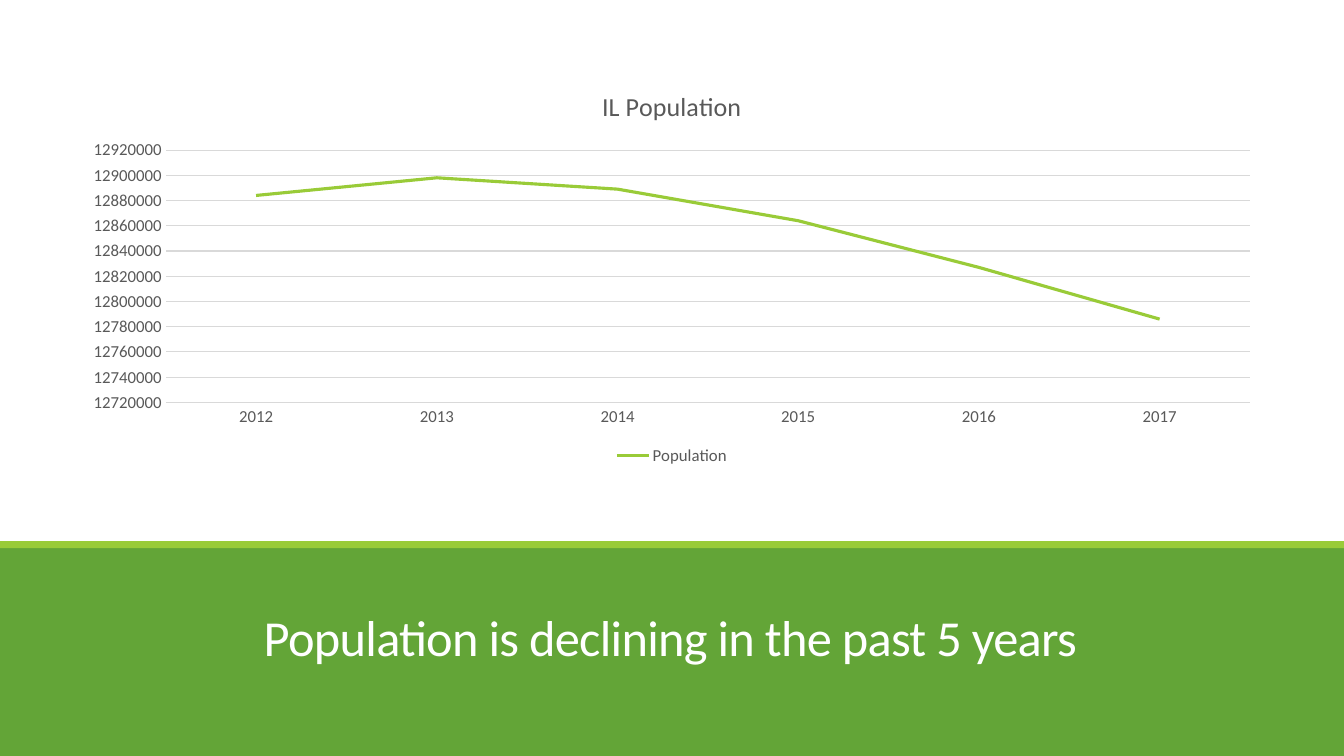
from lxml import etree
from pptx import Presentation
from pptx.chart.data import CategoryChartData
from pptx.dml.color import RGBColor
from pptx.enum.chart import XL_CHART_TYPE as ChartType
from pptx.enum.chart import XL_LEGEND_POSITION as LegendPosition
from pptx.enum.chart import XL_MARKER_STYLE as MarkerStyle
from pptx.enum.chart import XL_TICK_MARK as TickMark
from pptx.enum.shapes import MSO_SHAPE as Shape
from pptx.enum.text import MSO_ANCHOR as Anchor
from pptx.enum.text import MSO_AUTO_SIZE as AutoSize
from pptx.enum.text import PP_ALIGN as Align
from pptx.util import Pt

WHITE = RGBColor(0xFF, 0xFF, 0xFF)
GREEN = RGBColor(0x63, 0xA5, 0x37)
LIME = RGBColor(0x99, 0xCB, 0x38)
GREY = RGBColor(0x59, 0x59, 0x59)
PALE_GREY = RGBColor(0xD9, 0xD9, 0xD9)
FONT = "Calibri"
SLIDE_WIDTH, SLIDE_HEIGHT = Pt(960), Pt(540)

POPULATION = {
    "2012": 12884000,
    "2013": 12898000,
    "2014": 12889000,
    "2015": 12864000,
    "2016": 12827000,
    "2017": 12786000,
}


def style_font(font, size, color):
    font.name = FONT
    font.size = Pt(size)
    font.bold = False
    font.color.rgb = color


def add_band(slide, top, height, color):
    band = slide.shapes.add_shape(Shape.RECTANGLE, 0, top, SLIDE_WIDTH, height)
    band.shadow.inherit = False
    band.fill.solid()
    band.fill.fore_color.rgb = color
    band.line.fill.background()


def place_title(slide, text):
    title = slide.shapes.title
    title.left, title.top = Pt(82.8), Pt(415.4)
    title.width, title.height = Pt(792), Pt(64.8)
    frame = title.text_frame
    frame.text = text
    frame.word_wrap = True
    frame.auto_size = AutoSize.NONE
    frame.vertical_anchor = Anchor.BOTTOM
    paragraph = frame.paragraphs[0]
    paragraph.alignment = Align.CENTER
    paragraph.line_spacing = 0.85
    font = paragraph.runs[0].font
    style_font(font, 36, WHITE)
    # Tighten the letters by half a point
    paragraph.runs[0]._r.get_or_add_rPr().set("spc", "-50")
    # Bring the title in front of the bands
    title.element.getparent().append(title.element)


def style_axis(axis):
    axis.major_tick_mark = axis.minor_tick_mark = TickMark.NONE
    style_font(axis.tick_labels.font, 12, GREY)


def style_line(line, color, width):
    line.color.rgb = color
    line.width = Pt(width)


def add_population_chart(slide):
    data = CategoryChartData(number_format="General")
    data.categories = list(POPULATION)
    data.add_series("Population", list(POPULATION.values()))
    chart = slide.shapes.add_chart(
        ChartType.LINE, Pt(49.7), Pt(50.4), Pt(860.4), Pt(285.1), data
    ).chart
    style_font(chart.font, 10, GREY)

    # Chart title and legend
    chart.has_title = True
    heading = chart.chart_title.text_frame
    heading.text = "IL Population"
    style_font(heading.paragraphs[0].runs[0].font, 18.6, GREY)
    chart.chart_title.include_in_layout = False
    chart.has_legend = True
    chart.legend.position = LegendPosition.BOTTOM
    chart.legend.include_in_layout = False
    style_font(chart.legend.font, 12, GREY)

    # Axes
    years, people = chart.category_axis, chart.value_axis
    style_axis(years)
    style_line(years.format.line, PALE_GREY, 0.75)
    style_axis(people)
    people.format.line.fill.background()
    people.minimum_scale, people.maximum_scale = 12720000, 12920000
    people.major_unit = 20000
    style_line(people.major_gridlines.format.line, PALE_GREY, 0.75)

    # Population line
    plot = chart.plots[0]
    plot.vary_by_categories = False
    population = plot.series[0]
    population.smooth = False
    population.marker.style = MarkerStyle.NONE
    style_line(population.format.line, LIME, 2.25)


def main():
    prs = Presentation()
    prs.slide_width, prs.slide_height = SLIDE_WIDTH, SLIDE_HEIGHT
    slide = prs.slides.add_slide(prs.slide_layouts[5])
    slide.background.fill.solid()
    slide.background.fill.fore_color.rgb = WHITE

    # White upper area, green lower area and the lime strip between them
    add_band(slide, 0, Pt(386), WHITE)
    add_band(slide, Pt(390), Pt(150), GREEN)
    place_title(slide, "Population is declining in the past 5 years")
    add_band(slide, Pt(386.5), Pt(5), LIME)
    add_population_chart(slide)
    prs.save("out.pptx")


if __name__ == "__main__":
    main()
